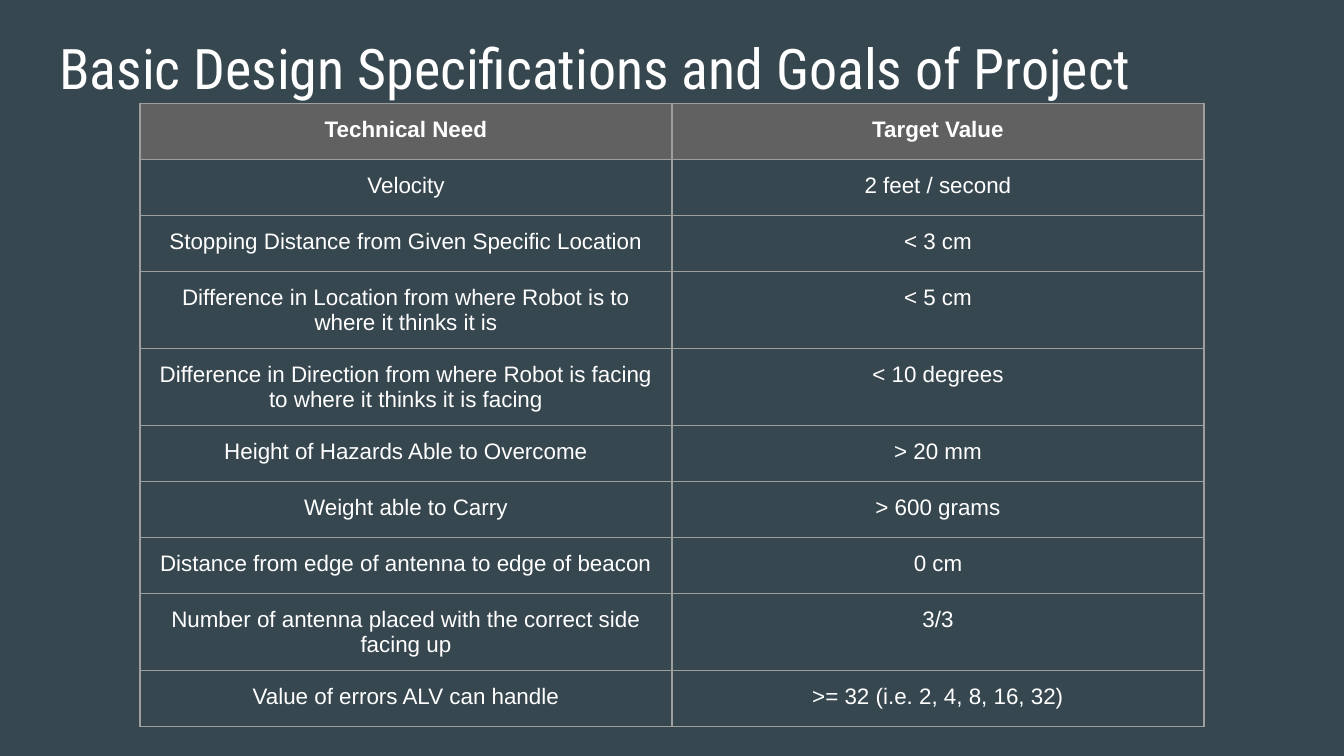
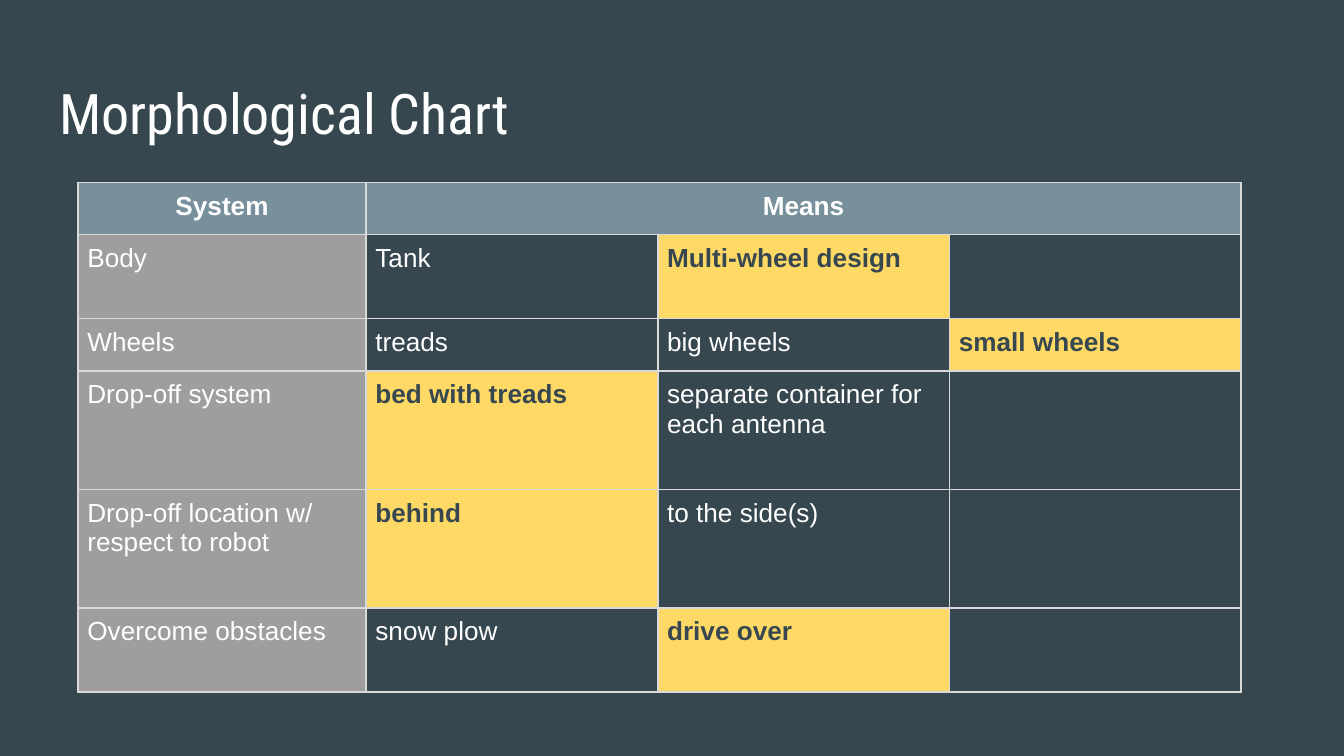
from lxml import etree
from pptx import Presentation
from pptx.dml.color import RGBColor
from pptx.enum.text import MSO_ANCHOR, MSO_AUTO_SIZE, PP_ALIGN
from pptx.oxml.ns import qn
from pptx.util import Pt

LEFT, CENTER = PP_ALIGN.LEFT, PP_ALIGN.CENTER
TOP = MSO_ANCHOR.TOP
NO_AUTOFIT = MSO_AUTO_SIZE.NONE

SLATE = RGBColor(0x37, 0x47, 0x4F)
WHITE = RGBColor(0xFF, 0xFF, 0xFF)
DARK_GRAY = RGBColor(0x61, 0x61, 0x61)
GRAY = RGBColor(0x9E, 0x9E, 0x9E)
LIGHT_GRAY = RGBColor(0xD9, 0xD9, 0xD9)
BLUE_GRAY = RGBColor(0x78, 0x90, 0x9C)
YELLOW = RGBColor(0xFF, 0xD9, 0x66)

TITLE_FONT = "Roboto Condensed"
BODY_FONT = "Arial"

SPECS = [
    ("Technical Need", "Target Value"),
    ("Velocity", "2 feet / second"),
    ("Stopping Distance from Given Specific Location", "< 3 cm"),
    ("Difference in Location from where Robot is to where it thinks it is", "< 5 cm"),
    ("Difference in Direction from where Robot is facing to where it thinks it is facing",
     "< 10 degrees"),
    ("Height of Hazards Able to Overcome", "> 20 mm"),
    ("Weight able to Carry", "> 600 grams"),
    ("Distance from edge of antenna to edge of beacon", "0 cm"),
    ("Number of antenna placed with the correct side facing up", "3/3"),
    ("Value of errors ALV can handle", ">= 32 (i.e. 2, 4, 8, 16, 32)"),
]

MEANS = [
    ("System", "Means", "", ""),
    ("Body", "Tank", "Multi-wheel design", ""),
    ("Wheels", "treads", "big wheels", "small wheels"),
    ("Drop-off system", "bed with treads", "separate container for each antenna", ""),
    ("Drop-off location w/ respect to robot", "behind", "to the side(s)", ""),
    ("Overcome obstacles", "snow plow", "drive over", ""),
]
CHOSEN = {"Multi-wheel design", "small wheels", "bed with treads", "behind", "drive over"}


def write(tf, text, font=BODY_FONT, size=12, color=WHITE, bold=False, align=LEFT):
    p = tf.paragraphs[0]
    p.alignment = align
    r = p.add_run()
    r.text = text
    r.font.name = font
    r.font.size = Pt(size)
    r.font.color.rgb = color
    r.font.bold = bold


def add_slide(prs, title, top):
    s = prs.slides.add_slide(prs.slide_layouts[5])
    sp = s.shapes.title
    sp.left, sp.top, sp.width, sp.height = Pt(24.5), Pt(top), Pt(671), Pt(45.2)
    tf = sp.text_frame
    tf.word_wrap = True
    tf.auto_size = NO_AUTOFIT
    tf.vertical_anchor = TOP
    tf.margin_left = tf.margin_right = tf.margin_top = tf.margin_bottom = Pt(7.2)
    write(tf, title, font=TITLE_FONT, size=30)
    return s


def add_borders(cell, color, width):
    tcPr = cell._tc.get_or_add_tcPr()
    for side in ("lnL", "lnR", "lnT", "lnB"):
        ln = etree.SubElement(tcPr, qn("a:" + side), w=str(Pt(width)))
        fill = etree.SubElement(ln, qn("a:solidFill"))
        etree.SubElement(fill, qn("a:srgbClr"), val=str(color))


def add_grid(s, rows, left, top, widths, heights, inset, border, size, cell_style):
    table = s.shapes.add_table(len(rows), len(widths), Pt(left), Pt(top),
                               Pt(sum(widths)), Pt(sum(heights))).table
    table.first_row = table.horz_banding = False
    for column, width in zip(table.columns, widths):
        column.width = Pt(width)
    for i, (row, height) in enumerate(zip(rows, heights)):
        table.rows[i].height = Pt(height)
        for j, text in enumerate(row):
            cell = table.cell(i, j)
            cell.margin_left = cell.margin_right = Pt(inset)
            cell.margin_top = cell.margin_bottom = Pt(inset)
            add_borders(cell, *border)
            fill, style = cell_style(i, j, text)
            if fill is None:
                cell.fill.background()
            else:
                cell.fill.solid()
                cell.fill.fore_color.rgb = fill
            if text:
                write(cell.text_frame, text, size=size, **style)
    return table


def spec_style(i, j, text):
    return (DARK_GRAY if i == 0 else None), {"bold": i == 0, "align": CENTER}


def means_style(i, j, text):
    if i == 0:
        return BLUE_GRAY, {"bold": True, "align": CENTER}
    if text in CHOSEN:
        return YELLOW, {"bold": True, "color": SLATE}
    return (GRAY if j == 0 else None), {}


def main():
    prs = Presentation()
    prs.slide_width, prs.slide_height = Pt(720), Pt(405)
    background = prs.slide_master.background.fill
    background.solid()
    background.fore_color.rgb = SLATE

    s = add_slide(prs, "Basic Design Specifications and Goals of Project", 10.8)
    add_grid(s, SPECS, 75, 55.4, [285] * 2, [30] * len(SPECS), 7.2,
             (GRAY, 0.75), 12, spec_style)

    s = add_slide(prs, "Morphological Chart", 35)
    table = add_grid(s, MEANS, 41.8, 97.7, [154.3] + [156.3] * 3,
                     [28, 45, 28, 63.5, 63.5, 45], 5, (LIGHT_GRAY, 1), 14, means_style)
    table.cell(0, 1).merge(table.cell(0, 3))

    prs.save("out.pptx")


if __name__ == "__main__":
    main()
